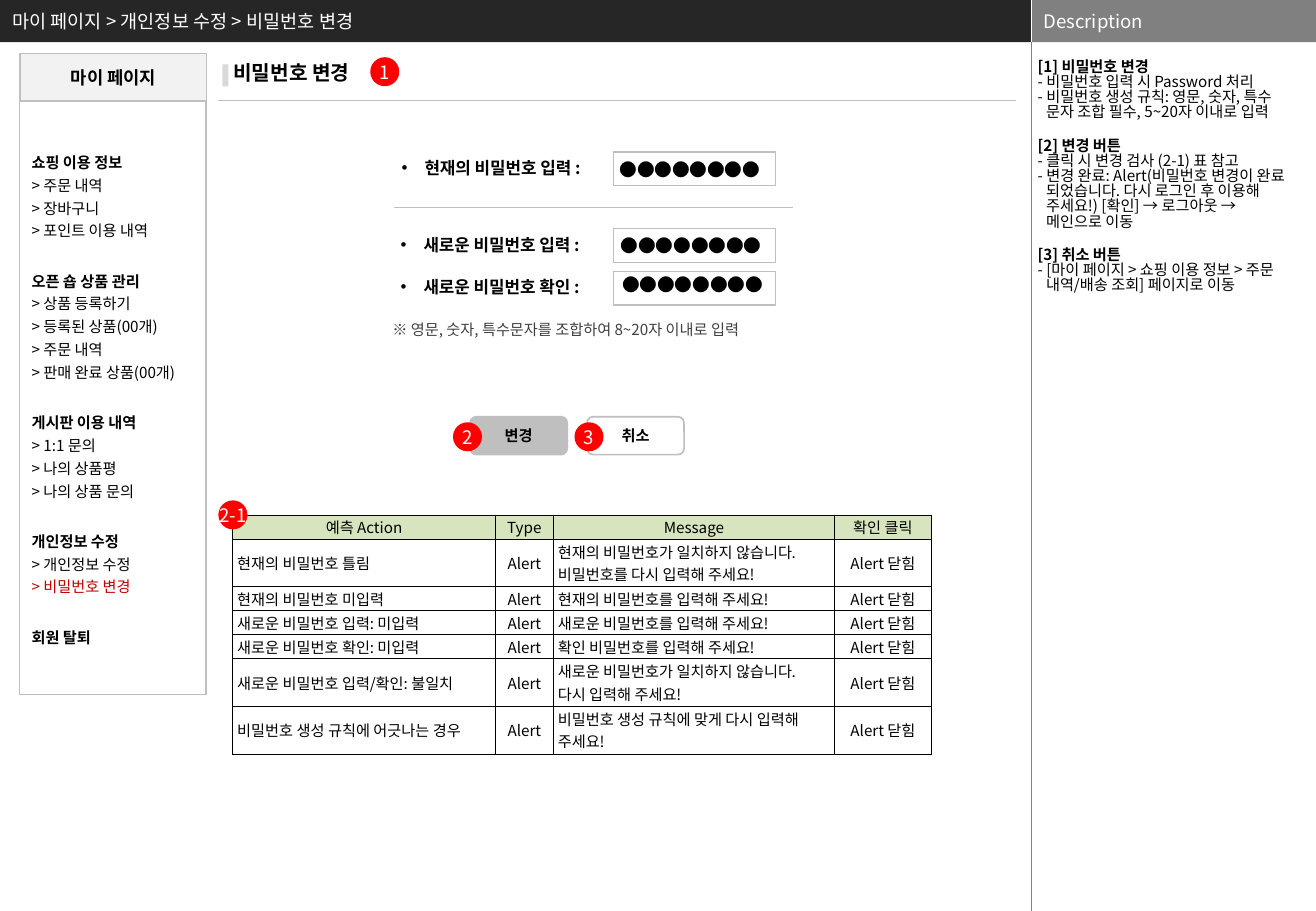
from lxml.etree import SubElement
from pptx import Presentation
from pptx.dml.color import RGBColor
from pptx.enum.shapes import MSO_CONNECTOR, MSO_SHAPE
from pptx.enum.text import MSO_ANCHOR, MSO_AUTO_SIZE, PP_ALIGN
from pptx.oxml.ns import qn
from pptx.util import Pt

BREADCRUMB = "마이 페이지 > 개인정보 수정 > 비밀번호 변경"
HEADING = "비밀번호 변경"
MENU_TITLE = "마이 페이지"
CURRENT_ITEM = "> 비밀번호 변경"
MENU = [
    ("쇼핑 이용 정보", ["> 주문 내역", "> 장바구니", "> 포인트 이용 내역"]),
    ("오픈 숍 상품 관리", ["> 상품 등록하기", "> 등록된 상품(00개)", "> 주문 내역",
                    "> 판매 완료 상품(00개)"]),
    ("게시판 이용 내역", ["> 1:1 문의", "> 나의 상품평", "> 나의 상품 문의"]),
    ("개인정보 수정", ["> 개인정보 수정", CURRENT_ITEM]),
    ("회원 탈퇴", []),
]
DESCRIPTION = [
    ("[1] 비밀번호 변경", ["- 비밀번호 입력 시 Password 처리",
                     "- 비밀번호 생성 규칙: 영문, 숫자, 특수",
                     "문자 조합 필수, 5~20자 이내로 입력"]),
    ("[2] 변경 버튼", ["- 클릭 시 변경 검사 (2-1) 표 참고",
                   "- 변경 완료: Alert(비밀번호 변경이 완료",
                   "되었습니다. 다시 로그인 후 이용해",
                   "주세요!) [확인] → 로그아웃 →", "메인으로 이동"]),
    ("[3] 취소 버튼", ["- [마이 페이지 > 쇼핑 이용 정보 > 주문",
                   "내역/배송 조회] 페이지로 이동"]),
]
PASSWORD = "●●●●●●●●"
FIELDS = [
    ("현재의 비밀번호 입력 :", 231, 90, 360, 90.7),
    ("새로운 비밀번호 입력 :", 230.4, 135.4, 360.7, 135.4),
    ("새로운 비밀번호 확인 :", 230.4, 160.6, 361.6, 158.6),
]
PASSWORD_RULE = "※ 영문, 숫자, 특수문자를 조합하여 8~20자 이내로 입력"
TABLE_HEAD = ("예측 Action", "Type", "Message", "확인 클릭")
CHECKS = [
    ("현재의 비밀번호 틀림", "현재의 비밀번호가 일치하지 않습니다.\n비밀번호를 다시 입력해 주세요!", 2),
    ("현재의 비밀번호 미입력", "현재의 비밀번호를 입력해 주세요!", 1),
    ("새로운 비밀번호 입력: 미입력", "새로운 비밀번호를 입력해 주세요!", 1),
    ("새로운 비밀번호 확인: 미입력", "확인 비밀번호를 입력해 주세요!", 1),
    ("새로운 비밀번호 입력/확인: 불일치", "새로운 비밀번호가 일치하지 않습니다.\n다시 입력해 주세요!", 2),
    ("비밀번호 생성 규칙에 어긋나는 경우", "비밀번호 생성 규칙에 맞게 다시 입력해 주세요!", 2),
]
TABLE_ROWS = [(*TABLE_HEAD, 1)] + [
    (action, "Alert", message, "Alert 닫힘", lines) for action, message, lines in CHECKS]
COLUMN_WIDTHS = (156, 34, 167, 57)
MARKERS = [("1", 219.4, 33.9), ("2", 268.4, 250.3), ("3", 340.4, 250.3),
           ("2-1", 129.4, 296.6)]

FONT = "Noto Sans CJK KR"
BLACK = RGBColor(0, 0, 0)
WHITE = RGBColor(255, 255, 255)
DARK = RGBColor(0x26, 0x26, 0x26)
CHARCOAL = RGBColor(0x40, 0x40, 0x40)
GRAY = RGBColor(0x80, 0x80, 0x80)
RULE_GRAY = RGBColor(0x7F, 0x7F, 0x7F)
SILVER = RGBColor(0xBF, 0xBF, 0xBF)
LIGHT = RGBColor(0xD9, 0xD9, 0xD9)
PALE = RGBColor(0xF2, 0xF2, 0xF2)
GREEN = RGBColor(0xD7, 0xE4, 0xBD)
RED = RGBColor(255, 0, 0)
DARK_RED = RGBColor(0xC0, 0, 0)

WIDTH, HEIGHT, SPLIT, BAR = 779.8, 540, 611.3, 25
ROW_HEIGHT = 14.18

deck = Presentation()
deck.slide_width, deck.slide_height = Pt(WIDTH), Pt(HEIGHT)
page = deck.slides.add_slide(deck.slide_layouts[1])


def style(para, size, color=BLACK, bold=False, align=PP_ALIGN.LEFT):
    para.alignment = align
    for span in para.runs:
        font = span.font
        font.name, font.size, font.bold = FONT, Pt(size), bold
        font.color.rgb = color
        SubElement(font._element, qn("a:ea"), typeface=FONT)


def write(box, text, size, color=BLACK, bold=False, align=PP_ALIGN.LEFT,
          anchor=MSO_ANCHOR.TOP, wrap=True):
    frame = box.text_frame
    frame.text = text
    frame.word_wrap = wrap
    frame.auto_size = MSO_AUTO_SIZE.NONE
    frame.vertical_anchor = anchor
    for para in frame.paragraphs:
        style(para, size, color, bold, align)
    return frame


def set_margins(frame, left, top, right, bottom):
    frame.margin_left, frame.margin_top = Pt(left), Pt(top)
    frame.margin_right, frame.margin_bottom = Pt(right), Pt(bottom)


def add_text(left, top, width, height, text, size, **options):
    box = page.shapes.add_textbox(Pt(left), Pt(top), Pt(width), Pt(height))
    write(box, text, size, **options)
    return box


def add_block(left, top, width, height, fill=None, line=None, weight=1,
              kind=MSO_SHAPE.RECTANGLE):
    block = page.shapes.add_shape(kind, Pt(left), Pt(top), Pt(width), Pt(height))
    block.shadow.inherit = False
    if fill is None:
        block.fill.background()
    else:
        block.fill.solid()
        block.fill.fore_color.rgb = fill
    if line is None:
        block.line.fill.background()
    else:
        block.line.color.rgb, block.line.width = line, Pt(weight)
    return block


def add_rule(x1, y1, x2, y2, color, weight):
    rule = page.shapes.add_connector(MSO_CONNECTOR.STRAIGHT, Pt(x1), Pt(y1), Pt(x2), Pt(y2))
    rule.line.color.rgb, rule.line.width = color, Pt(weight)
    SubElement(rule._element.spPr, qn("a:effectLst"))


def place(holder, left, top, width, height):
    holder.left, holder.top = Pt(left), Pt(top)
    holder.width, holder.height = Pt(width), Pt(height)
    holder.element.getparent().append(holder.element)


def write_groups(frame, groups, spacing, gap):
    lines = [(text, text == heading, number)
             for number, (heading, items) in enumerate(groups) for text in [heading, *items]]
    frame.text = "\n".join(text for text, _, _ in lines)
    for para, (text, is_heading, number) in zip(frame.paragraphs, lines):
        style(para, 9, DARK_RED if text == CURRENT_ITEM else BLACK, is_heading)
        para.line_spacing = spacing
        if is_heading and number:
            para.space_before = Pt(gap)
        if not is_heading and text[0] not in ">-":
            para._p.get_or_add_pPr().set("marL", str(Pt(5)))


def add_border(cell):
    properties = cell._tc.get_or_add_tcPr()
    for side in ("lnL", "lnR", "lnT", "lnB"):
        line = SubElement(properties, qn(f"a:{side}"), w=str(Pt(0.5)))
        SubElement(SubElement(line, qn("a:solidFill")), qn("a:srgbClr"), val=str(BLACK))


add_block(0, 0, SPLIT, BAR, DARK)
add_block(SPLIT, 0, WIDTH - SPLIT, BAR, GRAY)
add_rule(SPLIT, 0, SPLIT, BAR, WHITE, 0.25)
add_rule(SPLIT, BAR, SPLIT, HEIGHT, RULE_GRAY, 0.25)
add_text(SPLIT, 0, WIDTH - SPLIT, 24.5, "Description", 11, color=WHITE,
         anchor=MSO_ANCHOR.MIDDLE)
notes = add_text(612, BAR, WIDTH - 612, HEIGHT - BAR, "", 9)
set_margins(notes.text_frame, 2.88, 10.8, 2.88, 0)
write_groups(notes.text_frame, DESCRIPTION, 0.83, 10.8)

body = page.placeholders[1]
place(body, 0, 0, 594, BAR)
crumb = write(body, BREADCRUMB, 11, WHITE, anchor=MSO_ANCHOR.MIDDLE).paragraphs[0]
crumb.space_before = Pt(0)
crumb_properties = crumb._p.get_or_add_pPr()
crumb_properties.set("marL", "0")
crumb_properties.set("indent", "0")
SubElement(crumb_properties, qn("a:buNone"))

place(page.shapes.title, 128.2, 32.4, 198.7, 21.6)
set_margins(write(page.shapes.title, HEADING, 12, bold=True), 10, 3.6, 7.2, 3.6)
add_block(131.8, 38.2, 3.6, 13, LIGHT)
add_rule(128.9, 59.6, 601.9, 59.6, SILVER, 0.75)

menu_head = add_block(12, 31.7, 110.4, 28, PALE, SILVER, kind=MSO_SHAPE.ROUNDED_RECTANGLE)
write(menu_head, MENU_TITLE, 10.5, bold=True, align=PP_ALIGN.CENTER, anchor=MSO_ANCHOR.MIDDLE)
menu = add_block(11.6, 59.6, 110.4, 352, None, SILVER, kind=MSO_SHAPE.ROUNDED_RECTANGLE)
write(menu, "", 9, anchor=MSO_ANCHOR.MIDDLE)
write_groups(menu.text_frame, MENU, 1.25, 16.25)
for panel in (menu_head, menu):
    panel.adjustments[0] = 0

for label, label_left, label_top, dots_left, dots_top in FIELDS:
    add_block(363.6, label_top + 0.2, 95.8, 20, WHITE, SILVER, 0.75)
    label_box = add_text(label_left, label_top, 136, 19.4, label, 10, bold=True, wrap=False)
    label_properties = label_box.text_frame.paragraphs[0]._p.get_or_add_pPr()
    label_properties.set("marL", str(Pt(13.5)))
    label_properties.set("indent", str(-Pt(13.5)))
    SubElement(label_properties, qn("a:buFont"), typeface="Arial")
    SubElement(label_properties, qn("a:buChar"), char="•")
    add_text(dots_left, dots_top, 99.4, 20, PASSWORD, 10.5, wrap=False)
add_rule(233.3, 123, 470.2, 123, SILVER, 0.75)
add_text(225.4, 186.5, 254.9, 28.8, PASSWORD_RULE, 9, color=CHARCOAL)

for caption, left, fill in (("변경", 278.6, SILVER), ("취소", 347.8, WHITE)):
    button = add_block(left, 247, 57.6, 22.5, fill, SILVER, kind=MSO_SHAPE.ROUNDED_RECTANGLE)
    write(button, caption, 9, bold=True, align=PP_ALIGN.CENTER, anchor=MSO_ANCHOR.MIDDLE)

table = page.shapes.add_table(
    len(TABLE_ROWS), len(COLUMN_WIDTHS), Pt(137.7), Pt(305.3), Pt(sum(COLUMN_WIDTHS)),
    Pt(ROW_HEIGHT * sum(row[-1] for row in TABLE_ROWS))).table
table.first_row = table.horz_banding = False
for column, width in zip(table.columns, COLUMN_WIDTHS):
    column.width = Pt(width)
for r, (*texts, lines) in enumerate(TABLE_ROWS):
    table.rows[r].height = Pt(ROW_HEIGHT * lines)
    for c, text in enumerate(texts):
        cell = table.cell(r, c)
        cell.text = text
        cell.vertical_anchor = MSO_ANCHOR.MIDDLE
        set_margins(cell, 2.88, 0, 2.88, 0)
        add_border(cell)
        if r == 0:
            cell.fill.solid()
            cell.fill.fore_color.rgb = GREEN
        else:
            cell.fill.background()
        for para in cell.text_frame.paragraphs:
            style(para, 9, align=PP_ALIGN.CENTER if r == 0 or c % 2 else PP_ALIGN.LEFT)

for number, left, top in MARKERS:
    marker = add_block(left, top, 17.2, 17.2, RED, kind=MSO_SHAPE.OVAL)
    frame = write(marker, number, 11, WHITE, align=PP_ALIGN.CENTER,
                  anchor=MSO_ANCHOR.MIDDLE, wrap=False)
    set_margins(frame, 0, 0, 0, 0)

deck.save("out.pptx")
